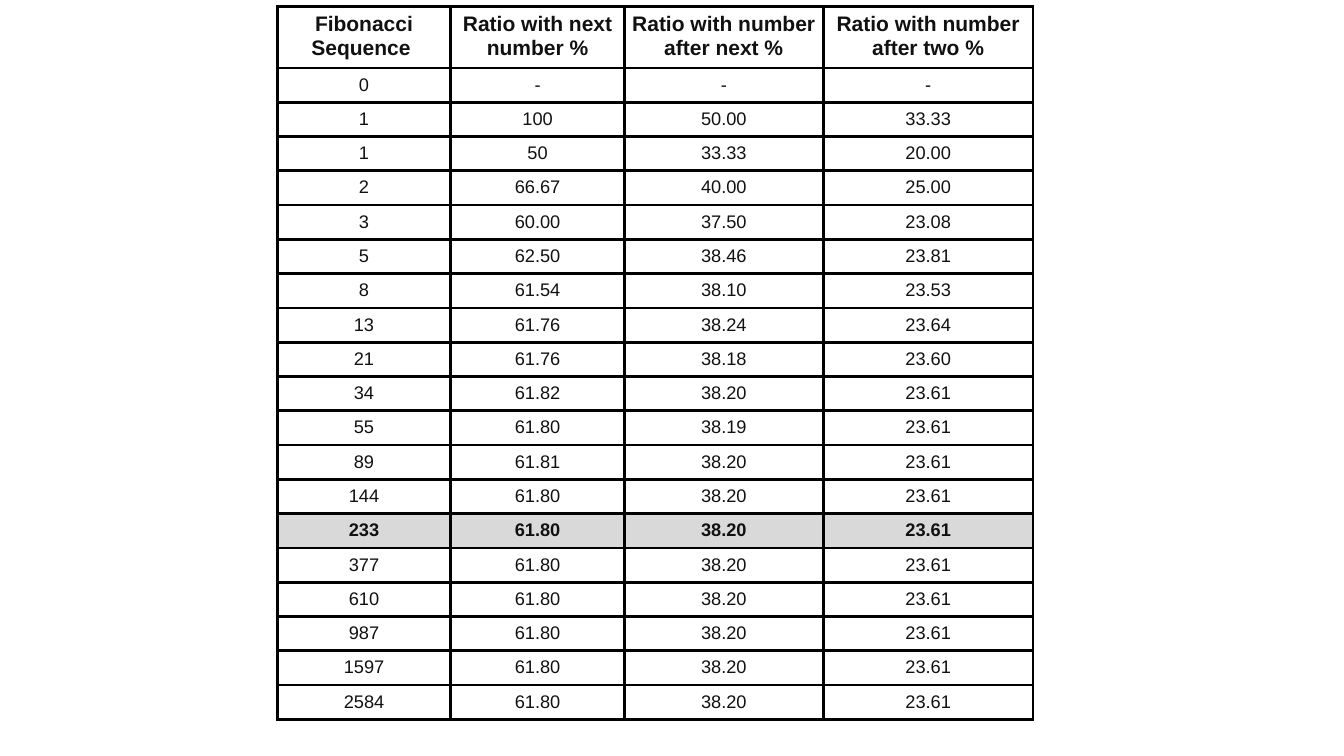
from lxml.etree import SubElement as Sub
from pptx import Presentation
from pptx.dml.color import RGBColor
from pptx.enum.text import MSO_ANCHOR as Anchor, PP_ALIGN as Align
from pptx.oxml.ns import qn
from pptx.util import Pt

HEADS = (
    "Fibonacci Sequence ",
    "Ratio with next number %",
    "Ratio with number after next %",
    "Ratio with number after two %",
)
RATIOS = (
    ("0", "-", "-", "-"),
    ("1", "100", "50.00", "33.33"),
    ("1", "50", "33.33", "20.00"),
    ("2", "66.67", "40.00", "25.00"),
    ("3", "60.00", "37.50", "23.08"),
    ("5", "62.50", "38.46", "23.81"),
    ("8", "61.54", "38.10", "23.53"),
    ("13", "61.76", "38.24", "23.64"),
    ("21", "61.76", "38.18", "23.60"),
    ("34", "61.82", "38.20", "23.61"),
    ("55", "61.80", "38.19", "23.61"),
    ("89", "61.81", "38.20", "23.61"),
)
LIMIT = ("61.80", "38.20", "23.61")
TAIL = ("144", "233", "377", "610", "987", "1597", "2584")
KEY = "233"
WIDTHS = (124, 124, 142, 150)
HEAD_H, ROW_H = 44, 24.5
INSET = 4.8


def color(code):
    """Turn a hex string into a colour."""
    return RGBColor.from_string(code)


def border(cell):
    """Draw a black line on all four sides of a cell."""
    props = cell._tc.get_or_add_tcPr()
    for side in ("lnL", "lnR", "lnT", "lnB"):
        line = Sub(props, qn(f"a:{side}"), w=str(Pt(2.25)))
        fill = Sub(line, qn("a:solidFill"))
        Sub(fill, qn("a:srgbClr"), val="000000")


def write(cell, text, size, bold, shade):
    """Fill one cell with centred text, borders and a shade."""
    border(cell)
    if shade:
        cell.fill.solid()
        cell.fill.fore_color.rgb = color(shade)
    else:
        cell.fill.background()
    cell.margin_left = cell.margin_right = Pt(INSET)
    cell.margin_top = cell.margin_bottom = Pt(INSET)
    cell.vertical_anchor = Anchor.TOP
    cell.text = text
    para = cell.text_frame.paragraphs[0]
    para.alignment = Align.CENTER
    font = para.font
    font.name, font.size, font.bold = "Arial", Pt(size), bold
    font.color.rgb = color("111111")


def add_grid(slide, rows, left, top):
    """Add the ratio table with its header and key row."""
    high = HEAD_H + ROW_H * (len(rows) - 1)
    frame = slide.shapes.add_table(
        len(rows), len(WIDTHS), Pt(left), Pt(top), Pt(sum(WIDTHS)), Pt(high)
    )
    table = frame.table
    table.first_row = table.horz_banding = False
    for col, width in zip(table.columns, WIDTHS):
        col.width = Pt(width)
    for num, (row, texts) in enumerate(zip(table.rows, rows)):
        head, key = num == 0, texts[0] == KEY
        row.height = Pt(HEAD_H if head else ROW_H)
        for cell, text in zip(row.cells, texts):
            write(cell, text, 15 if head else 13, head or key, "D9D9D9" if key else None)


def main():
    """Build the slide and save it."""
    deck = Presentation()
    deck.slide_width, deck.slide_height = Pt(960), Pt(540)
    slide = deck.slides.add_slide(deck.slide_layouts[6])
    rows = (HEADS, *RATIOS, *((term, *LIMIT) for term in TAIL))
    add_grid(slide, rows, 198, 4.5)
    deck.save("out.pptx")


if __name__ == "__main__":
    main()
